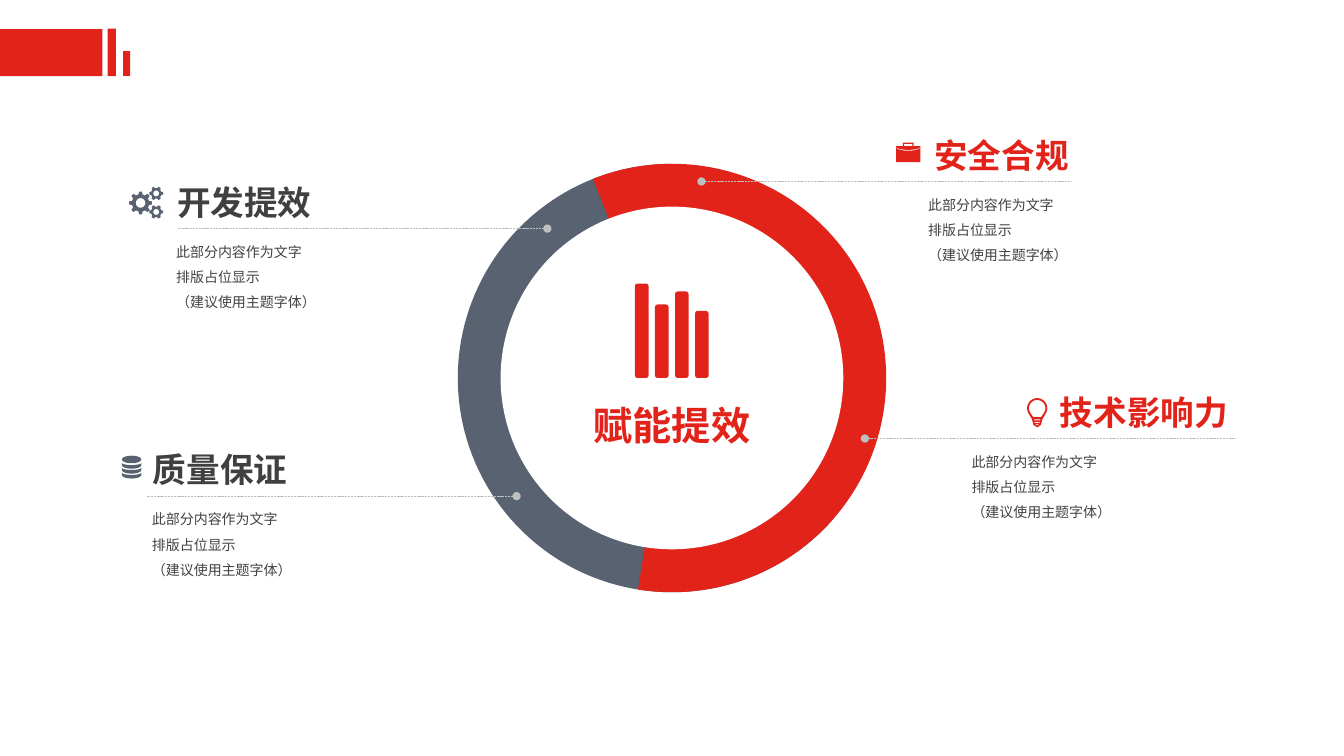
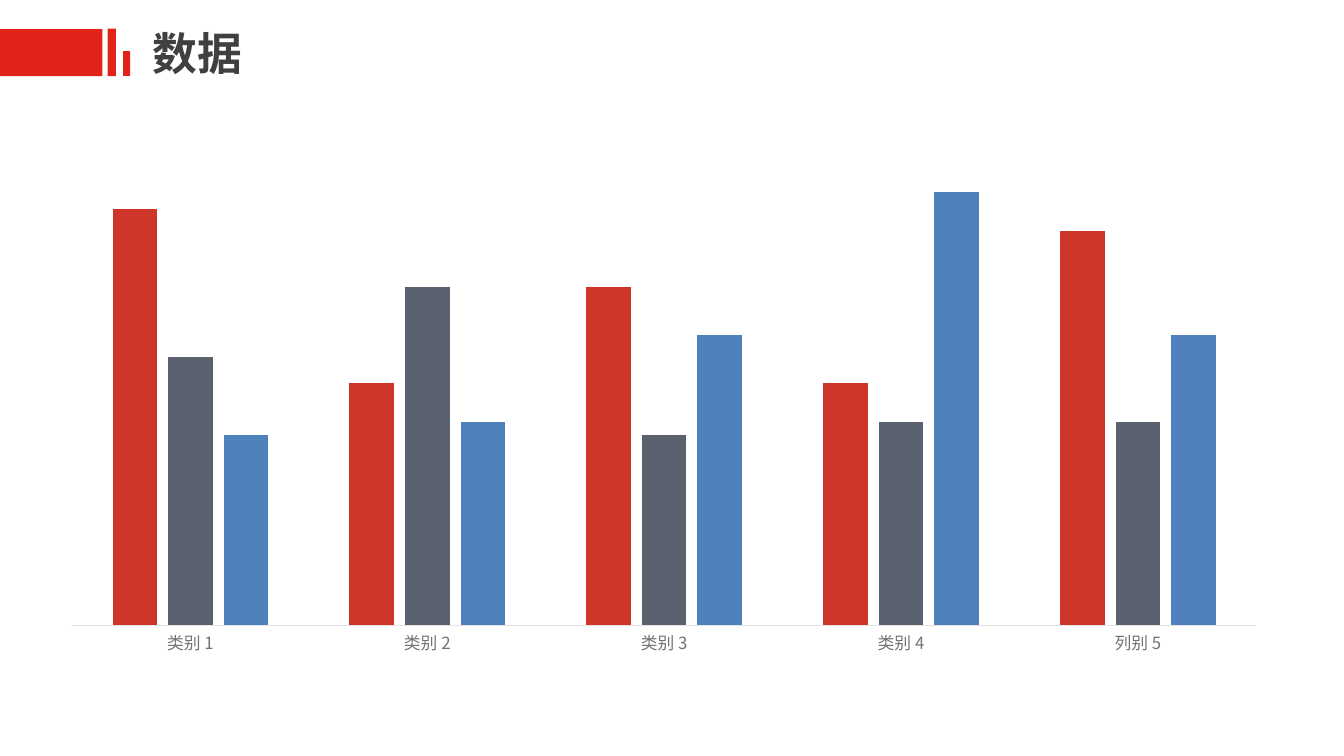
from dataclasses import dataclass
from math import cos, radians, sin

from lxml import etree
from pptx import Presentation
from pptx.chart.data import CategoryChartData
from pptx.dml.color import RGBColor
from pptx.enum import chart as ch, dml, shapes, text
from pptx.oxml import parse_xml
from pptx.oxml.ns import nsdecls, qn
from pptx.util import Pt

FONT = "Noto Sans CJK SC"
RED, SLATE, WHITE = "E2231A", "586270", "FFFFFF"
DARK, BODY, RULE = "404040", "424242", "BFBFBF"
BODY_TEXT = "此部分内容作为文字\n排版占位显示\n（建议使用主题字体）"
RULE_LENGTH = 264

Point = tuple[float, float]
Contour = list[Point]


@dataclass
class Box:
    x: float
    y: float
    w: float
    h: float

    def lengths(self) -> list[int]:
        return [Pt(v) for v in (self.x, self.y, self.w, self.h)]


@dataclass
class Callout:
    heading: str
    color: str
    align: text.PP_ALIGN
    heading_x: float
    heading_w: float
    body_x: float
    dot_x: float
    direction: int
    y: float


@dataclass
class Series:
    name: str
    values: tuple[int, ...]
    color: str


BANDS = [Box(77, 20.4, 5.9, 34), Box(88, 36.5, 5, 17.8), Box(0, 20.9, 73.2, 33.5)]
RING = Box(327, 117, 306, 306)
HOLE = Box(357.6, 147.6, 244.8, 244.8)
BAR_TOPS = [202.5, 217.5, 208.2, 222.1]
LEFT, RIGHT = text.PP_ALIGN.LEFT, text.PP_ALIGN.RIGHT
CALLOUTS = [
    Callout("开发提效", DARK, LEFT, 119.5, 127.4, 118.8, 391, -1, 163.3),
    Callout("质量保证", DARK, LEFT, 102.2, 131, 101.5, 369, -1, 354.4),
    Callout("安全合规", RED, RIGHT, 629.3, 141.1, 655.9, 501.1, 1, 129.6),
    Callout("技术影响力", RED, RIGHT, 742.3, 141.8, 686.9, 617.8, 1, 313.2),
]
CATEGORIES = ["类别 1", "类别 2", "类别 3", "类别 4", "列别 5"]
SERIES = [
    Series("Series 1", (96, 56, 78, 56, 91), "CF362A"),
    Series("Series 2", (62, 78, 44, 47, 47), "5A616F"),
    Series("Series 3", (44, 47, 67, 100, 67), "4F81BD"),
]


def rgb(value: str) -> RGBColor:
    return RGBColor.from_string(value)


def style(font, size: float, color: str, bold: bool = False) -> None:
    font.size = Pt(size)
    font.bold = bold
    font.color.rgb = rgb(color)
    font.name = FONT
    etree.SubElement(font._rPr, qn("a:ea")).set("typeface", FONT)


def write(tf, content: str, size: float, color: str, bold: bool = False,
          align=LEFT, spacing: float = 1.0) -> None:
    tf.word_wrap = True
    tf.text = content
    for p in tf.paragraphs:
        p.alignment = align
        p.line_spacing = spacing
        for r in p.runs:
            style(r.font, size, color, bold)


def paint(sp, color: str):
    sp.shadow.inherit = False
    sp.fill.solid()
    sp.fill.fore_color.rgb = rgb(color)
    sp.line.fill.background()
    return sp


def add_shape(s, kind, box: Box, color: str):
    return paint(s.shapes.add_shape(kind, *box.lengths()), color)


def add_text(s, box: Box, *args, **options) -> None:
    write(s.shapes.add_textbox(*box.lengths()).text_frame, *args, **options)


def add_pie(s, box: Box, start: float, end: float, color: str) -> None:
    sp = add_shape(s, shapes.MSO_SHAPE.PIE, box, color)
    for i, angle in enumerate((start, end)):
        sp.adjustments[i] = angle * 0.6


def add_rule(s, start_x: float, end_x: float, y: float) -> None:
    line = s.shapes.add_connector(
        shapes.MSO_CONNECTOR.STRAIGHT, Pt(start_x), Pt(y), Pt(end_x), Pt(y))
    line.line.color.rgb = rgb(RULE)
    line.line.width = Pt(0.5)
    line.line.dash_style = dml.MSO_LINE.SQUARE_DOT
    etree.SubElement(line.line._ln, qn("a:headEnd")).set("type", "oval")
    etree.SubElement(line._element.spPr, qn("a:effectLst"))


def add_icon(s, contours: list[Contour], color: str) -> None:
    builder = None
    for contour in contours:
        points = [(Pt(x), Pt(y)) for x, y in contour]
        if builder is None:
            builder = s.shapes.build_freeform(*points[0], scale=1.0)
        else:
            builder.move_to(*points[0])
        builder.add_line_segments(points[1:], close=True)
    paint(builder.convert_to_shape(), color)


def arc(cx: float, cy: float, rx: float, ry: float,
        start: float = 0, end: float = 360, steps: int = 24) -> Contour:
    angles = [radians(start + (end - start) * i / steps) for i in range(steps + 1)]
    return [(cx + rx * cos(a), cy + ry * sin(a)) for a in angles]


def rect(x: float, y: float, w: float, h: float) -> Contour:
    return [(x, y), (x + w, y), (x + w, y + h), (x, y + h)]


def gear(cx: float, cy: float, radius: float, teeth: int) -> list[Contour]:
    pitch = 360 / teeth
    profile = [(-0.3, 0.76), (-0.17, 1), (0.17, 1), (0.3, 0.76)]
    rim = [(cx + radius * k * cos(radians((i + t) * pitch)),
            cy + radius * k * sin(radians((i + t) * pitch)))
           for i in range(teeth) for t, k in profile]
    return [rim, arc(cx, cy, radius * 0.42, radius * 0.42)]


def gears() -> list[Contour]:
    return gear(100.4, 145, 8.2, 8) + gear(111.6, 138.2, 5, 6) + gear(111.6, 151.4, 5, 6)


def database() -> list[Contour]:
    cx, rx = 94, 6.9
    bands = [arc(cx, y, rx, 1.6, 180, 0) + arc(cx, y + 1.6, rx, 2.6, 0, 180)
             for y in (330.6, 334.1, 337.6)]
    return [arc(cx, 328.2, rx, 2.7)] + bands


def briefcase() -> list[Contour]:
    cx = 648.8
    lid = [(640.1, 104.4), (657.5, 104.4)] + arc(cx, 104.7, 8.7, 2.4, 0, 180)
    case = arc(cx, 105.2, 8.7, 2.5, 180, 0) + [(657.5, 115.9), (640.1, 115.9)]
    return [lid, case, rect(645, 102, 7.6, 2.4), rect(645.8, 102.8, 6, 1.6)]


def bulb() -> list[Contour]:
    cx, cy = 740.9, 291.6
    outline = arc(cx, cy, 7.2, 7.2, 150, 390) + [
        (744.6, 299.5), (743.6, 303.5), (cx, 305.3), (738.2, 303.5), (737.2, 299.5)]
    glass = arc(cx, cy, 5.9, 5.9, 150, 390) + [(743.7, 298), (738.1, 298)]
    return [outline, glass, rect(738.7, 299.5, 4.4, 0.7), rect(739, 301.3, 3.8, 0.7),
            [(739.4, 303), (742.4, 303), (cx, 304)]]


def build_layout(layout, s) -> None:
    for ph in list(layout.placeholders)[1:]:
        ph.element.getparent().remove(ph.element)
    title = layout.placeholders[0]
    title.left, title.top, title.width, title.height = Box(102, 18.7, 598, 42.5).lengths()
    for i, band in enumerate(BANDS):
        sp = add_shape(s, shapes.MSO_SHAPE.RECTANGLE, band, RED)
        sp.element.nvSpPr.cNvPr.set("id", str(100 + i))
        layout.shapes.element.insert(2 + i, sp.element)


def add_callout(s, c: Callout) -> None:
    add_rule(s, c.dot_x, c.dot_x + c.direction * RULE_LENGTH, c.y)
    add_text(s, Box(c.heading_x, c.y - 37, c.heading_w, 36), c.heading, 24, c.color,
             bold=True, align=c.align)
    add_text(s, Box(c.body_x, c.y + 1, 216, 77.8), BODY_TEXT, 10, BODY, spacing=1.5)


def build_ring_slide(s) -> None:
    title = s.shapes.title.element
    title.getparent().remove(title)
    add_pie(s, RING, 40.8, 270, SLATE)
    add_pie(s, RING, 248.35, 99.13, RED)
    tf = add_shape(s, shapes.MSO_SHAPE.OVAL, HOLE, WHITE).text_frame
    tf.vertical_anchor = text.MSO_ANCHOR.MIDDLE
    tf.margin_top = Pt(70)
    write(tf, "赋能提效", 28, RED, bold=True, align=text.PP_ALIGN.CENTER)
    for i, top in enumerate(BAR_TOPS):
        bar = add_shape(s, shapes.MSO_SHAPE.ROUNDED_RECTANGLE,
                        Box(453.6 + i * 14.3, top, 9.7, 270 - top), RED)
        bar.adjustments[0] = 0.2
    for c in CALLOUTS:
        add_callout(s, c)
    for contours, color in ((gears(), SLATE), (database(), SLATE),
                            (briefcase(), RED), (bulb(), RED)):
        add_icon(s, contours, color)


def place_plot(chart, x: float, y: float, w: float, h: float) -> None:
    area = chart._chartSpace.chart.plotArea
    for old in area.findall(qn("c:layout")):
        area.remove(old)
    settings = [("layoutTarget", "inner"), ("xMode", "edge"), ("yMode", "edge"),
                ("x", x), ("y", y), ("w", w), ("h", h)]
    inner = "".join(f'<c:{tag} val="{value}"/>' for tag, value in settings)
    area.insert(0, parse_xml(
        f'<c:layout {nsdecls("c")}><c:manualLayout>{inner}</c:manualLayout></c:layout>'))


def build_chart_slide(s) -> None:
    tf = s.shapes.title.text_frame
    tf.vertical_anchor = text.MSO_ANCHOR.MIDDLE
    write(tf, "数据", 32, DARK, bold=True, spacing=0.9)
    data = CategoryChartData()
    data.categories = CATEGORIES
    for item in SERIES:
        data.add_series(item.name, item.values)
    chart = s.shapes.add_chart(ch.XL_CHART_TYPE.COLUMN_CLUSTERED,
                               *Box(33.8, 95, 881.3, 380.2).lengths(), data).chart
    style(chart.font, 10, BODY)
    chart.has_legend = False
    chart.has_title = False
    plot = chart.plots[0]
    plot.gap_width, plot.overlap, plot.vary_by_categories = 182, -25, False
    for series, item in zip(plot.series, SERIES):
        series.format.fill.solid()
        series.format.fill.fore_color.rgb = rgb(item.color)
    value = chart.value_axis
    value.minimum_scale, value.maximum_scale = 0, 110
    value.has_major_gridlines = False
    value.visible = False
    category = chart.category_axis
    category.major_tick_mark = ch.XL_TICK_MARK.NONE
    category.format.line.color.rgb = rgb("E3E3E3")
    category.format.line.width = Pt(0.75)
    style(category.tick_labels.font, 12, "767171")
    place_plot(chart, 0.02, 0.03, 0.96, 0.895)


def main() -> None:
    prs = Presentation()
    prs.slide_width, prs.slide_height = Pt(960), Pt(540)
    layout = prs.slide_layouts[5]
    ring_slide, chart_slide = (prs.slides.add_slide(layout) for _ in range(2))
    build_layout(layout, ring_slide)
    build_ring_slide(ring_slide)
    build_chart_slide(chart_slide)
    prs.save("out.pptx")


if __name__ == "__main__":
    main()
